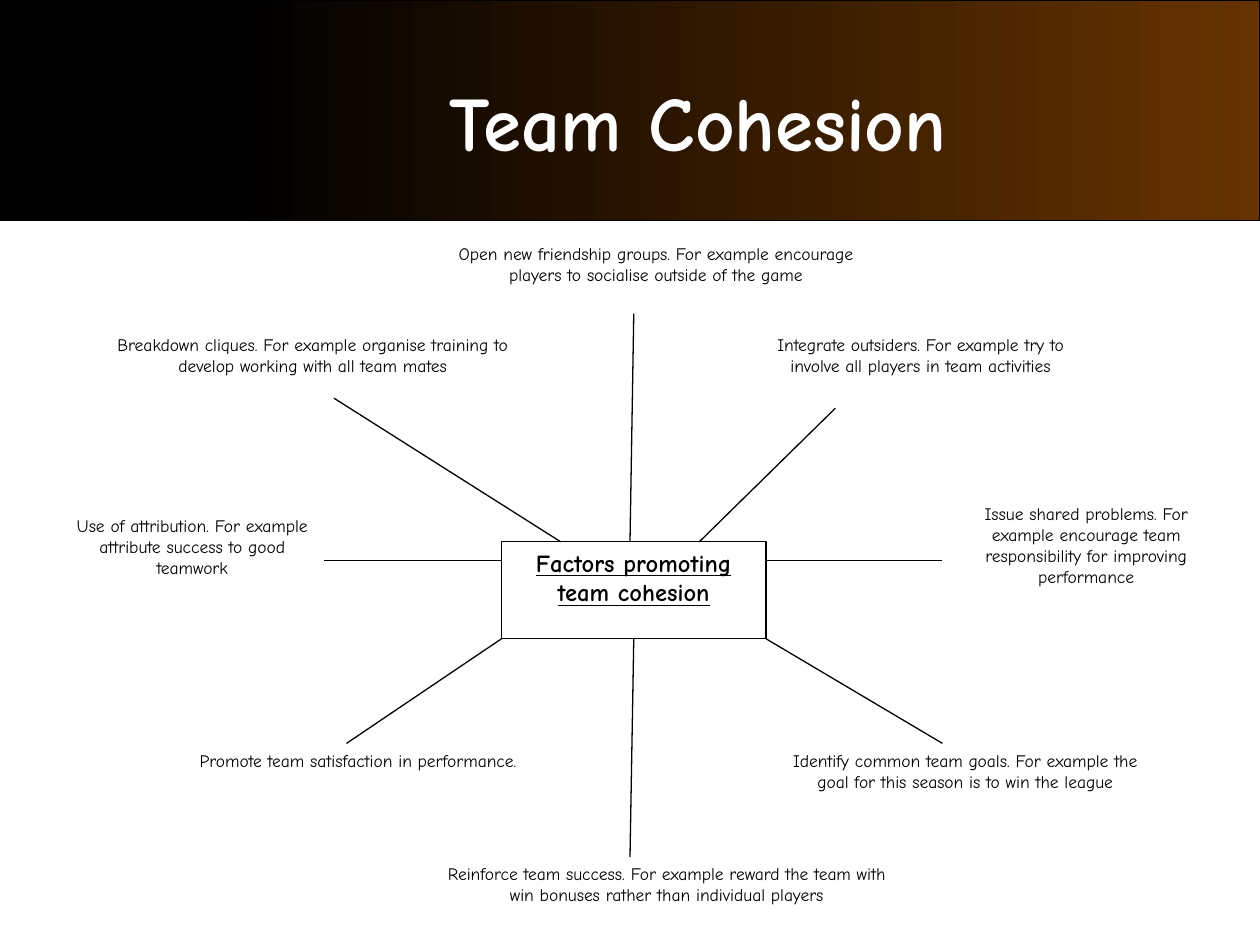
from pptx import Presentation
from pptx.dml.color import RGBColor
from pptx.enum.shapes import MSO_CONNECTOR, MSO_SHAPE
from pptx.enum.text import MSO_ANCHOR, PP_ALIGN
from pptx.oxml.ns import qn
from pptx.util import Inches, Pt
from lxml import etree

BLACK = RGBColor(0x00, 0x00, 0x00)
WHITE = RGBColor(0xFF, 0xFF, 0xFF)
BROWN = RGBColor(0x66, 0x33, 0x00)
FONT = "Comic Neue"
RECTANGLE = MSO_SHAPE.RECTANGLE
STRAIGHT = MSO_CONNECTOR.STRAIGHT
CENTER = PP_ALIGN.CENTER
TOP, MIDDLE = MSO_ANCHOR.TOP, MSO_ANCHOR.MIDDLE


def add_box(place, fill=None, outlined=False):
    box = page.shapes.add_shape(RECTANGLE, *map(Inches, place))
    box.shadow.inherit = False
    if fill is None:
        box.fill.background()
    else:
        box.fill.solid()
        box.fill.fore_color.rgb = fill
    if outlined:
        box.line.color.rgb = BLACK
        box.line.width = Pt(0.75)
    else:
        box.line.fill.background()
    return box


def write(box, text, size=10, color=BLACK, bold=False, underline=False, anchor=TOP):
    frame = box.text_frame
    frame.word_wrap = True
    frame.vertical_anchor = anchor
    para = frame.paragraphs[0]
    para.alignment = CENTER
    span = para.add_run()
    span.text = text
    span.font.name = FONT
    span.font.size = Pt(size)
    span.font.color.rgb = color
    span.font.bold = bold
    span.font.underline = underline


deck = Presentation()
deck.slide_width, deck.slide_height = Inches(10), Inches(7.5)
page = deck.slides.add_slide(deck.slide_layouts[6])

# Header band: solid black, then black fading to brown
add_box((0, 0, 1.83, 1.75), BLACK, outlined=True)
band = add_box((1.83, 0, 8.17, 1.75), outlined=True)
band.fill.gradient()
band.fill.gradient_angle = 0
for stop, color in zip(band.fill.gradient_stops, (BLACK, BROWN)):
    stop.color.rgb = color

# Title
title = page.shapes.add_textbox(*map(Inches, (1.83, 0.33, 7.42, 1.25)))
write(title, "Team Cohesion", size=44, color=WHITE, bold=True, anchor=MIDDLE)

# Central topic
left, top, right, bottom = 3.98, 4.3, 6.08, 5.07
topic = add_box((left, top, right - left, bottom - top), WHITE, outlined=True)
write(topic, "Factors promoting team cohesion", size=14, bold=True, underline=True)

# Factors around the topic
factors = [
    ((3.45, 1.88, 3.51, 0.62), "Open new friendship groups. For example encourage "
     "players to socialise outside of the game"),
    ((5.9, 2.6, 2.81, 0.64), "Integrate outsiders. For example try to involve all "
     "players in team activities"),
    ((7.48, 3.94, 2.28, 1.03), "Issue shared problems. For example encourage team "
     "responsibility for improving performance"),
    ((0.64, 2.6, 3.68, 0.57), "Breakdown cliques. For example organise training to "
     "develop working with all team mates"),
    ((0.47, 4.04, 2.11, 0.93), "Use of attribution. For example attribute success to "
     "good teamwork"),
    ((1.35, 5.9, 2.98, 0.72), "Promote team satisfaction in performance."),
    ((6.08, 5.9, 3.16, 0.62), "Identify common team goals. For example the goal for "
     "this season is to win the league"),
    ((3.45, 6.8, 3.68, 0.55), "Reinforce team success. For example reward the team "
     "with win bonuses rather than individual players"),
]
for place, text in factors:
    write(add_box(place, WHITE), text)

# Spokes from the topic to each factor
spokes = [
    (5, top, 5.03, 2.49),
    (5.55, top, 6.63, 3.24),
    (right, 4.45, 7.48, 4.45),
    (right, bottom, 7.48, 5.9),
    (5.03, bottom, 5, 6.8),
    (left, bottom, 2.75, 5.9),
    (left, 4.45, 2.57, 4.45),
    (4.45, top, 2.65, 3.16),
]
for ends in spokes:
    spoke = page.shapes.add_connector(STRAIGHT, *map(Inches, ends))
    spoke.line.color.rgb = BLACK
    spoke.line.width = Pt(0.75)
    etree.SubElement(spoke._element.spPr, qn("a:effectLst"))

deck.save("out.pptx")
